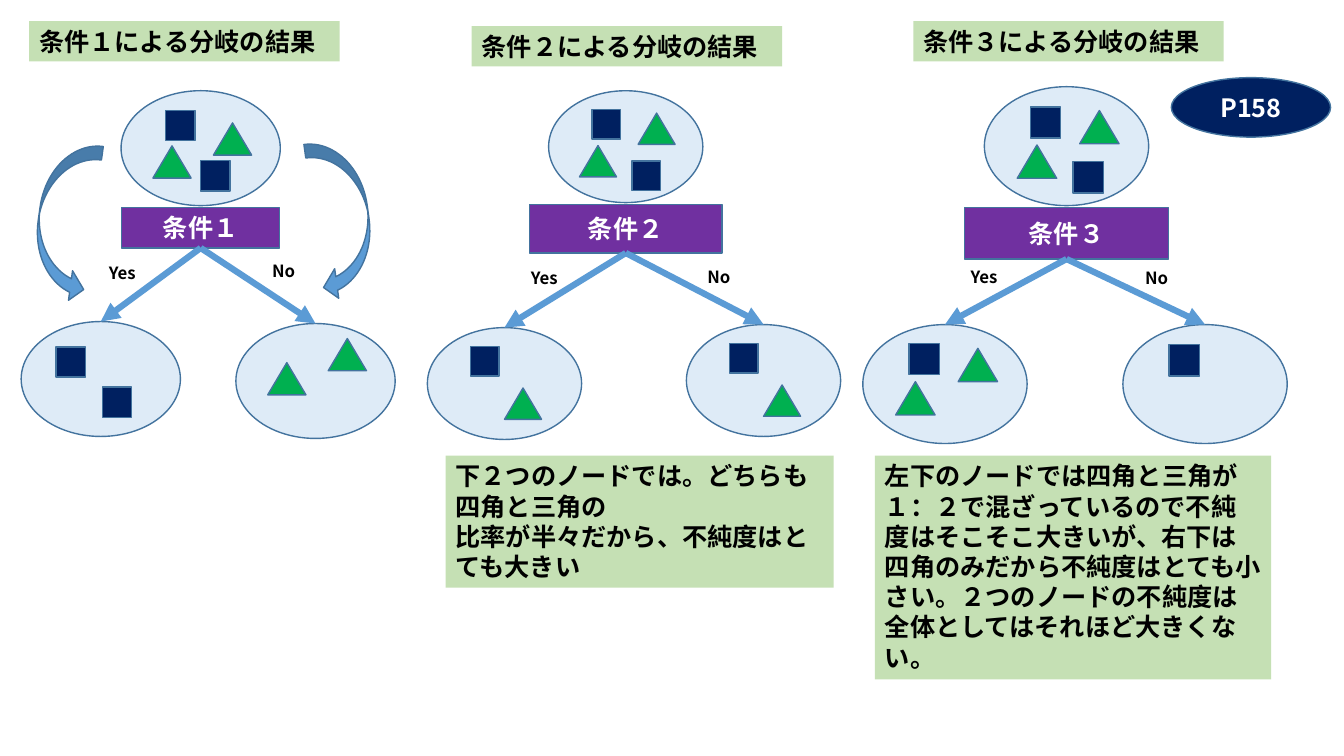
from lxml import etree
from pptx import Presentation
from pptx import util as u
from pptx.dml import color
from pptx.enum import shapes, text
from pptx.oxml import ns

COLUMNS, ROWS = 133.33, 75  # square grid cells, 75 rows to the slide height
CELL = u.Inches(0.1)
FONT = "Noto Sans CJK JP"
OUTLINE, BRANCH, NODE = "43739E", "5B9BD5", "DEEBF7"
NAVY, GREEN, PURPLE, PALE_GREEN = "002060", "00B050", "7030A0", "C5E0B4"
KIND = shapes.MSO_SHAPE

# Mark kind: preset, fill, width and height as shares of its node
MARKS = {
    "square": (KIND.RECTANGLE, NAVY, 0.185, 0.263),
    "triangle": (KIND.ISOSCELES_TRIANGLE, GREEN, 0.24, 0.28),
}


def rgb(value):
    return color.RGBColor.from_string(value)


def cells(*lengths):
    return [round(length * CELL) for length in lengths]


def write(frame, wording, size=18, ink="000000", centred=False):
    frame.word_wrap = True
    if centred:
        frame.vertical_anchor = text.MSO_ANCHOR.MIDDLE
    else:
        frame.vertical_anchor = text.MSO_ANCHOR.TOP
        frame.auto_size = text.MSO_AUTO_SIZE.SHAPE_TO_FIT_TEXT
    for index, line in enumerate(wording.split("\n")):
        paragraph = frame.paragraphs[0] if index == 0 else frame.add_paragraph()
        paragraph.alignment = text.PP_ALIGN.CENTER if centred else text.PP_ALIGN.LEFT
        run = paragraph.add_run()
        run.text = line
        for name, value in {"name": FONT, "size": u.Pt(size), "bold": True}.items():
            setattr(run.font, name, value)
        run.font.color.rgb = rgb(ink)
        east_asian = etree.SubElement(run.font._element, ns.qn("a:ea"))
        east_asian.set("typeface", FONT)


def draw(parent, kind, box, fill, outlined=True):
    shape = parent.add_shape(kind, *cells(*box))
    shape.shadow.inherit = False
    shape.fill.solid()
    shape.fill.fore_color.rgb = rgb(fill)
    if outlined:
        shape.line.color.rgb = rgb(OUTLINE)
        shape.line.width = u.Pt(1)
    else:
        shape.line.fill.background()
    return shape


def panel(parent, box, wording):
    write(draw(parent, KIND.RECTANGLE, box, PALE_GREEN, False).text_frame, wording)


def node(parent, box, marks):
    left, top, width, height = box
    draw(parent, KIND.OVAL, box, NODE)
    for mark, across, down in marks:
        kind, fill, wide, high = MARKS[mark]
        draw(parent, kind, (left + across * width, top + down * height,
                            wide * width, high * height), fill)


def branch(parent, start, end):
    arrow = parent.add_connector(shapes.MSO_CONNECTOR.STRAIGHT, *cells(*start, *end))
    arrow.line.color.rgb = rgb(BRANCH)
    arrow.line.width = u.Pt(4.5)
    tail = etree.SubElement(arrow.line._get_or_add_ln(), ns.qn("a:tailEnd"))
    tail.set("type", "triangle")
    etree.SubElement(arrow._element.spPr, ns.qn("a:effectLst"))


def tree(parent, box, condition, node_size, plate_size, centre, drops, root, children, labels):
    """Root node, condition plate and two child nodes inside the box."""
    left, top, width, height = box
    wide, high = node_size
    plate_wide, plate_high = plate_size
    middle = left + centre * width
    plate_top = top + high + 0.2
    fork = (middle, plate_top + plate_high)

    # Root and condition
    node(parent, (middle - wide / 2, top, wide, high), root)
    plate = draw(parent, KIND.RECTANGLE,
                 (middle - plate_wide / 2, plate_top, plate_wide, plate_high), PURPLE)
    write(plate.text_frame, condition, ink="FFFFFF", centred=True)

    # Branches to the children, with their answers
    child_lefts = (left, left + width - wide)
    for answer, child_left, drop, marks, (across, down) in zip(
            ("Yes", "No"), child_lefts, drops, children, labels):
        child_top = top + drop
        node(parent, (child_left, child_top, wide, high), marks)
        branch(parent, fork, (child_left + wide / 2, child_top))
        label = parent.add_textbox(*cells(middle + across, fork[1] + down, 9.5, 3))
        write(label.text_frame, answer, size=12)


def curved_arrows(parent, box):
    """A pair of curved arrows, mirrored, at the two sides of the box."""
    left, top, width, height = box
    for mirrored in (False, True):
        wide = 5.4
        x = left + width - wide if mirrored else left
        y = top - 0.2 if mirrored else top
        arrow = draw(parent, KIND.CURVED_RIGHT_ARROW, (x, y, wide, height), BRANCH)
        for index, share in enumerate((0.25, 0.548, 0.25)):
            arrow.adjustments[index] = share
        arrow.rotation = -7.8 if mirrored else 7.8
        if mirrored:
            arrow._element.spPr.xfrm.set("flipH", "1")


ROOT = [("square", 0.28, 0.17), ("square", 0.54, 0.63),
        ("triangle", 0.58, 0.2), ("triangle", 0.2, 0.49)]
SQUARE_AND_TRIANGLE = [("square", 0.28, 0.17), ("triangle", 0.5, 0.54)]

TREES = [
    dict(box=(2.1, 9, 37.1, 34.5), condition="条件１", node_size=(15.8, 11.4),
         plate_size=(15.7, 4), centre=0.48, drops=(22.9, 23.1),
         root=[("square", 0.28, 0.17), ("square", 0.5, 0.61),
               ("triangle", 0.58, 0.28), ("triangle", 0.2, 0.48)],
         children=([("square", 0.22, 0.22), ("square", 0.51, 0.57)],
                   [("triangle", 0.58, 0.13), ("triangle", 0.2, 0.34)]),
         labels=((-10.1, 1), (6.1, 0.8))),
    dict(box=(42.4, 9, 41, 34.6), condition="条件２", node_size=(15.3, 11.1),
         plate_size=(19.1, 4.8), centre=0.48, drops=(23.5, 23.2),
         root=ROOT, children=(SQUARE_AND_TRIANGLE, SQUARE_AND_TRIANGLE),
         labels=((-10.4, 1), (7.1, 0.9))),
    dict(box=(85.6, 8.6, 42.1, 35.4), condition="条件３", node_size=(16.3, 11.8),
         plate_size=(20.3, 5.1), centre=0.48, drops=(23.6, 23.6),
         root=ROOT,
         children=([("square", 0.28, 0.16), ("triangle", 0.58, 0.2),
                    ("triangle", 0.2, 0.48)], [("square", 0.28, 0.17)]),
         labels=((-10.5, 0.3), (6.8, 0.4))),
]
HEADING_CORNERS = [(2.9, 2.1), (46.8, 2.6), (90.6, 2.1)]
REMARKS = [
    ((44.2, 45.2, 38.5, 13.1),
     "下２つのノードでは。どちらも四角と三角の\n比率が半々だから、不純度はとても大きい"),
    ((86.8, 45.2, 39.3, 22.2),
     "左下のノードでは四角と三角が１：２で混ざっているので不純度はそこそこ大きいが、"
     "右下は四角のみだから不純度はとても小さい。"
     "２つのノードの不純度は全体としてはそれほど大きくない。"),
]


def main():
    deck = Presentation()
    deck.slide_width, deck.slide_height = cells(COLUMNS, ROWS)
    canvas = deck.slides.add_slide(deck.slide_layouts[6]).shapes

    # Decision trees under their headings
    for layout, corner in zip(TREES, HEADING_CORNERS):
        tree(canvas.add_group_shape().shapes, **layout)
        panel(canvas, (*corner, 30.8, 4), layout["condition"] + "による分岐の結果")
    curved_arrows(canvas, (3.8, 14.1, 32.8, 15.8))

    # Remarks on impurity
    for box, wording in REMARKS:
        panel(canvas, box, wording)

    # Page badge
    badge = draw(canvas, KIND.OVAL, (116.2, 7.7, 15.8, 5.9), NAVY)
    write(badge.text_frame, "P158", ink="FFFFFF", centred=True)

    deck.save("out.pptx")


if __name__ == "__main__":
    main()
